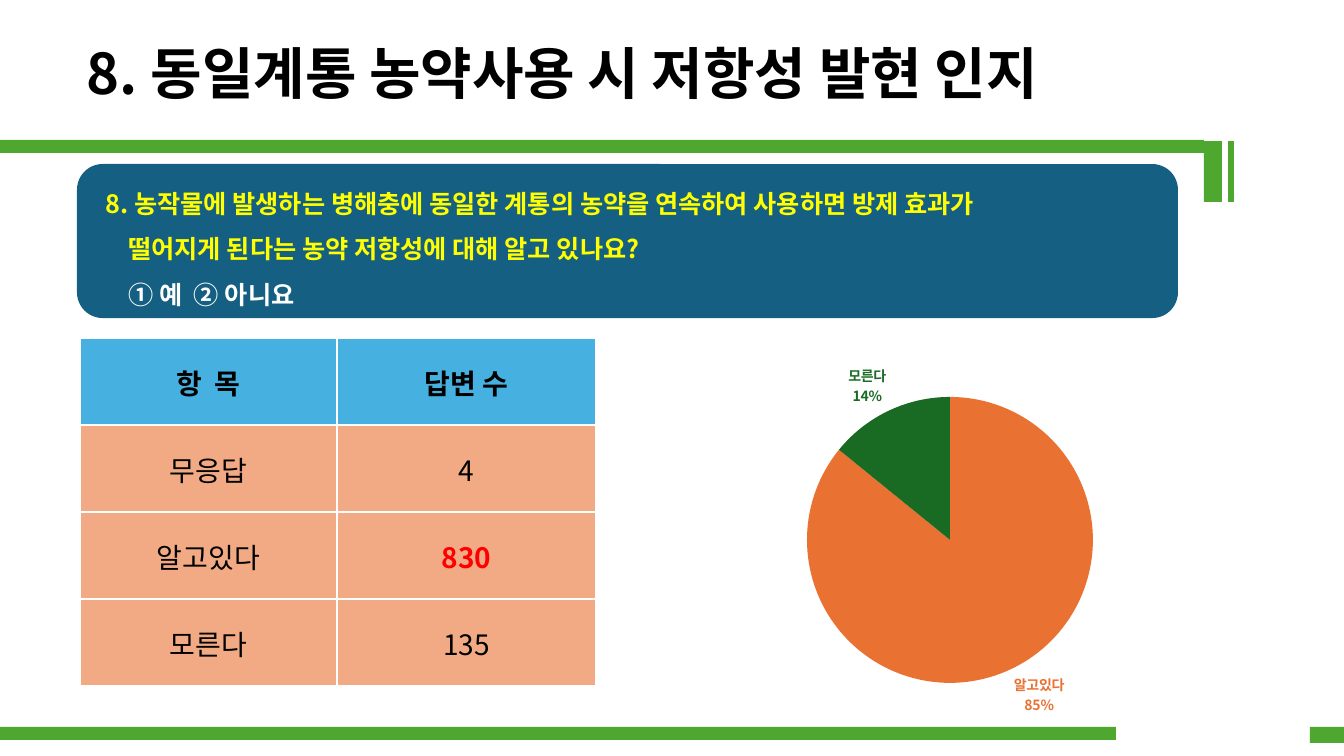
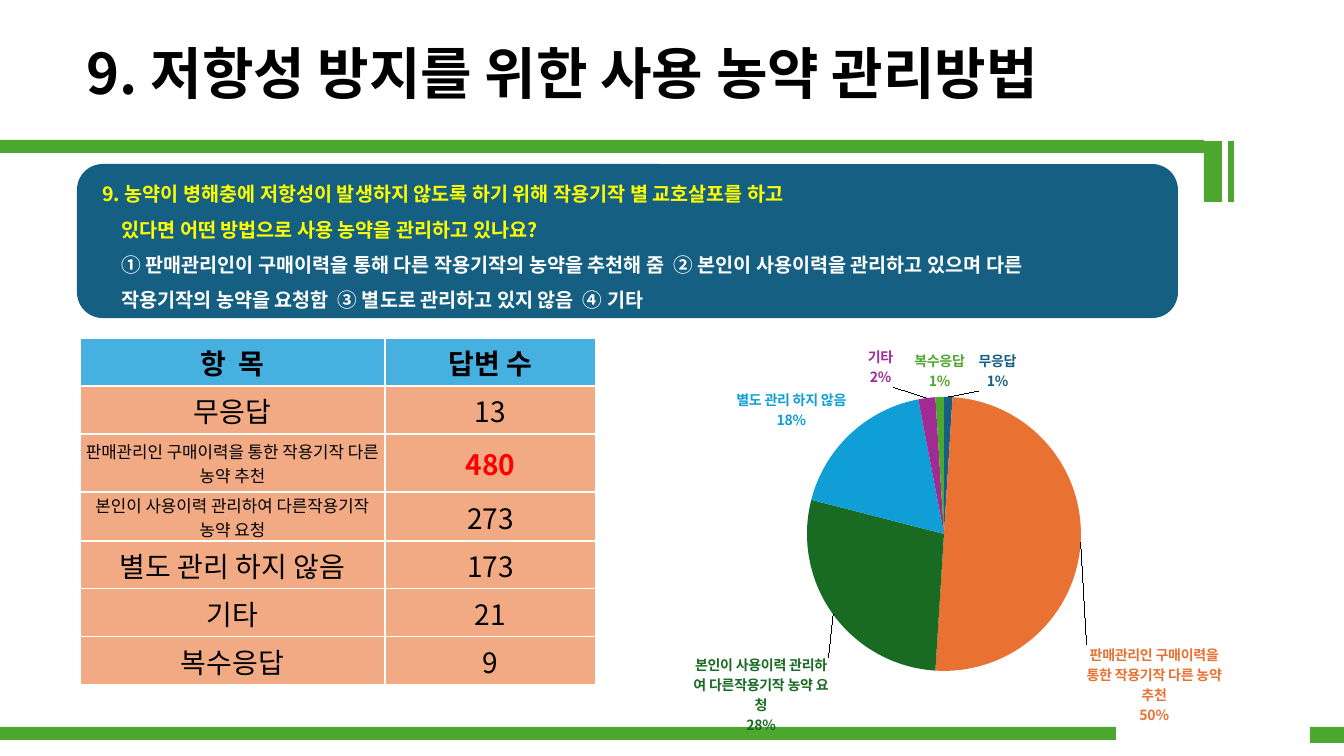
import pptx
import pptx.chart.data
import pptx.dml.color
import pptx.enum.chart
import pptx.enum.shapes
import pptx.enum.text
import pptx.oxml
import pptx.oxml.ns
import pptx.util
from lxml import etree

RGB = pptx.dml.color.RGBColor
BLACK = RGB(0x00, 0x00, 0x00)
WHITE = RGB(0xFF, 0xFF, 0xFF)
YELLOW = RGB(0xFF, 0xFF, 0x00)
RED = RGB(0xFF, 0x00, 0x00)
NAVY = RGB(0x15, 0x60, 0x82)
GREEN = RGB(0x4E, 0xA7, 0x2E)
HEAD = RGB(0x46, 0xB1, 0xE1)
PEACH = RGB(0xF2, 0xAA, 0x84)
SLICES = [NAVY, RGB(0xE9, 0x71, 0x32), RGB(0x19, 0x6B, 0x24),
          RGB(0x0F, 0x9E, 0xD5), RGB(0xA0, 0x2B, 0x93), GREEN]
FONT = "Noto Sans CJK KR"

TITLE = (77, 34, 1093, 78)
PANEL = (77, 164, 1101, 154)
TABLE = (80, 338)
CHART = (596, 338, 715, 397)
BANDS = [(0, 727, 1116, 13), (1310, 727, 34, 16), (0, 140, 1204, 13),
         (1204, 141, 18, 61), (1228, 141, 6, 61)]
HEADS = ("항  목", "답변 수")

# rows: item, answers, percent; pie: centre x, centre y, radius;
# shifts: label moves by row
PAGES = [
    dict(
        title="8. 동일계통 농약사용 시 저항성 발현 인지",
        size=18, indents=(11, 34),
        ask=["8. 농작물에 발생하는 병해충에 동일한 계통의 농약을 연속하여 사용하면 방제 효과가",
             "떨어지게 된다는 농약 저항성에 대해 알고 있나요?"],
        options=["① 예  ② 아니요"],
        cols=(257, 259), heights=(87, 87, 87, 87),
        rows=[("무응답", 4, 0), ("알고있다", 830, 85), ("모른다", 135, 14)],
        pie=(950, 540, 143), shifts={}),
    dict(
        title="9. 저항성 방지를 위한 사용 농약 관리방법",
        size=14, indents=(8, 27),
        ask=["9. 농약이 병해충에 저항성이 발생하지 않도록 하기 위해 작용기작 별 교호살포를 하고",
             "있다면 어떤 방법으로 사용 농약을 관리하고 있나요?"],
        options=["① 판매관리인이 구매이력을 통해 다른 작용기작의 농약을 추천해 줌  ② 본인이 사용이력을 관리하고 있으며 다른",
                 "작용기작의 농약을 요청함  ③ 별도로 관리하고 있지 않음  ④ 기타"],
        cols=(305, 211), heights=(48, 48, 58, 49, 48, 48, 48),
        rows=[("무응답", 13, 1),
              ("판매관리인 구매이력을 통한 작용기작 다른 농약 추천", 480, 50),
              ("본인이 사용이력 관리하여 다른작용기작 농약 요청", 273, 28),
              ("별도 관리 하지 않음", 173, 18),
              ("기타", 21, 2),
              ("복수응답", 9, 1)],
        pie=(944, 534, 137),
        shifts={0: (49, 0), 1: (0, 142), 2: (0, 40), 4: (-33, -5)}),
]


def px(n):
    return pptx.util.Emu(round(n * 914400 / 100.8))


def box(rect):
    return [px(n) for n in rect]


def style(font, size, color, bold=False):
    """Set size, colour, weight and the face for Latin and Korean text."""
    font.size = pptx.util.Pt(size)
    font.bold = bold
    font.color.rgb = color
    font.name = FONT
    face = etree.SubElement(font._rPr, pptx.oxml.ns.qn("a:ea"))
    face.set("typeface", FONT)


def paint(shape, color):
    shape.fill.solid()
    shape.fill.fore_color.rgb = color
    shape.line.fill.background()
    shape.shadow.inherit = False


def add_title(slide, text):
    frame = slide.shapes.add_textbox(*box(TITLE)).text_frame
    frame.word_wrap = False
    para = frame.paragraphs[0]
    para.text = text
    style(para.font, 40, BLACK, True)


def add_bands(slide):
    for rect in BANDS:
        kind = pptx.enum.shapes.MSO_SHAPE.RECTANGLE
        paint(slide.shapes.add_shape(kind, *box(rect)), GREEN)


def add_panel(slide, page):
    kind = pptx.enum.shapes.MSO_SHAPE.ROUNDED_RECTANGLE
    panel = slide.shapes.add_shape(kind, *box(PANEL))
    paint(panel, NAVY)
    frame = panel.text_frame
    frame.word_wrap = True
    frame.vertical_anchor = pptx.enum.text.MSO_ANCHOR.MIDDLE
    first, rest = page["indents"]
    lines = [(text, YELLOW) for text in page["ask"]]
    lines += [(text, WHITE) for text in page["options"]]
    for i, (text, color) in enumerate(lines):
        para = frame.add_paragraph() if i else frame.paragraphs[0]
        para.text = text
        para.alignment = pptx.enum.text.PP_ALIGN.LEFT
        para.line_spacing = 1.5
        para._p.get_or_add_pPr().set("marL", str(px(rest if i else first)))
        style(para.font, page["size"], color, True)


def edge(cell):
    """Draw thin white borders round a cell."""
    props = cell._tc.get_or_add_tcPr()
    for i, side in enumerate(("lnL", "lnR", "lnT", "lnB")):
        props.insert(i, pptx.oxml.parse_xml(
            f'<a:{side} {pptx.oxml.ns.nsdecls("a")} w="12700"><a:solidFill>'
            f'<a:srgbClr val="{WHITE}"/></a:solidFill></a:{side}>'))


def fill_cell(cell, text, size, color, bold, back):
    cell.fill.solid()
    cell.fill.fore_color.rgb = back
    cell.margin_left = cell.margin_right = cell.margin_top = px(1)
    cell.margin_bottom = 0
    cell.vertical_anchor = pptx.enum.text.MSO_ANCHOR.MIDDLE
    para = cell.text_frame.paragraphs[0]
    para.text = text
    para.alignment = pptx.enum.text.PP_ALIGN.CENTER
    style(para.font, size, color, bold)
    edge(cell)


def add_grid(slide, page):
    cols, heights, rows = page["cols"], page["heights"], page["rows"]
    rect = box(TABLE + (sum(cols), sum(heights)))
    grid = slide.shapes.add_table(len(heights), len(cols), *rect).table
    for col, width in zip(grid.columns, cols):
        col.width = px(width)
    for row, height in zip(grid.rows, heights):
        row.height = px(height)
    for c, text in enumerate(HEADS):
        fill_cell(grid.cell(0, c), text, 20, BLACK, True, HEAD)
    most = max(count for _, count, _ in rows)
    for r, (name, count, _) in enumerate(rows, 1):
        size = 12 if len(name) > 20 else 20
        top = count == most
        fill_cell(grid.cell(r, 0), name, size, BLACK, False, PEACH)
        fill_cell(grid.cell(r, 1), str(count), 20, RED if top else BLACK,
                  top, PEACH)


def layout(inner="", **parts):
    """Build a manual chart layout from fractions of the chart."""
    body = "".join(f'<c:{k} val="{v:.4f}"/>' for k, v in parts.items())
    return pptx.oxml.parse_xml(
        f'<c:layout {pptx.oxml.ns.nsdecls("c")}><c:manualLayout>{inner}{body}'
        '</c:manualLayout></c:layout>')


def add_label(point, color, shift):
    """Show category over percentage, moved by shift."""
    label = point.data_label
    style(label.font, 10, color, True)
    label.position = pptx.enum.chart.XL_LABEL_POSITION.OUTSIDE_END
    node = label._dLbl
    qn = pptx.oxml.ns.qn
    node.find(qn("c:showCatName")).set("val", "1")
    form = etree.Element(qn("c:numFmt"), formatCode='0"%"', sourceLinked="0")
    node.find(qn("c:idx")).addnext(form)
    if shift:
        form.addprevious(layout(x=shift[0] / CHART[2], y=shift[1] / CHART[3]))
    etree.SubElement(node, qn("c:separator")).text = "\n"


def add_pie(slide, page):
    data = pptx.chart.data.CategoryChartData(number_format="0")
    data.categories = [name for name, _, _ in page["rows"]]
    data.add_series("Series 1", [share for _, _, share in page["rows"]])
    kind = pptx.enum.chart.XL_CHART_TYPE.PIE
    chart = slide.shapes.add_chart(kind, *box(CHART), data).chart
    chart.has_title = chart.has_legend = False
    style(chart.font, 10, BLACK)
    plot = chart.plots[0]
    plot.vary_by_categories = True
    for i, color in enumerate(SLICES[:len(page["rows"])]):
        point = plot.series[0].points[i]
        point.format.fill.solid()
        point.format.fill.fore_color.rgb = color
        point.format.line.fill.background()
        add_label(point, color, page["shifts"].get(i))

    left, top, wide, high = CHART
    x, y, r = page["pie"]
    area = chart._chartSpace.chart.plotArea
    for old in area.findall(pptx.oxml.ns.qn("c:layout")):
        area.remove(old)
    modes = ('<c:layoutTarget val="inner"/><c:xMode val="edge"/>'
             '<c:yMode val="edge"/>')
    area.insert(0, layout(modes, x=(x - r - left) / wide,
                          y=(y - r - top) / high,
                          w=2 * r / wide, h=2 * r / high))


def main():
    deck = pptx.Presentation()
    deck.slide_width, deck.slide_height = px(1344), px(756)
    for page in PAGES:
        slide = deck.slides.add_slide(deck.slide_layouts[6])
        add_bands(slide)
        add_title(slide, page["title"])
        add_panel(slide, page)
        add_grid(slide, page)
        add_pie(slide, page)
    deck.save("out.pptx")


if __name__ == "__main__":
    main()
